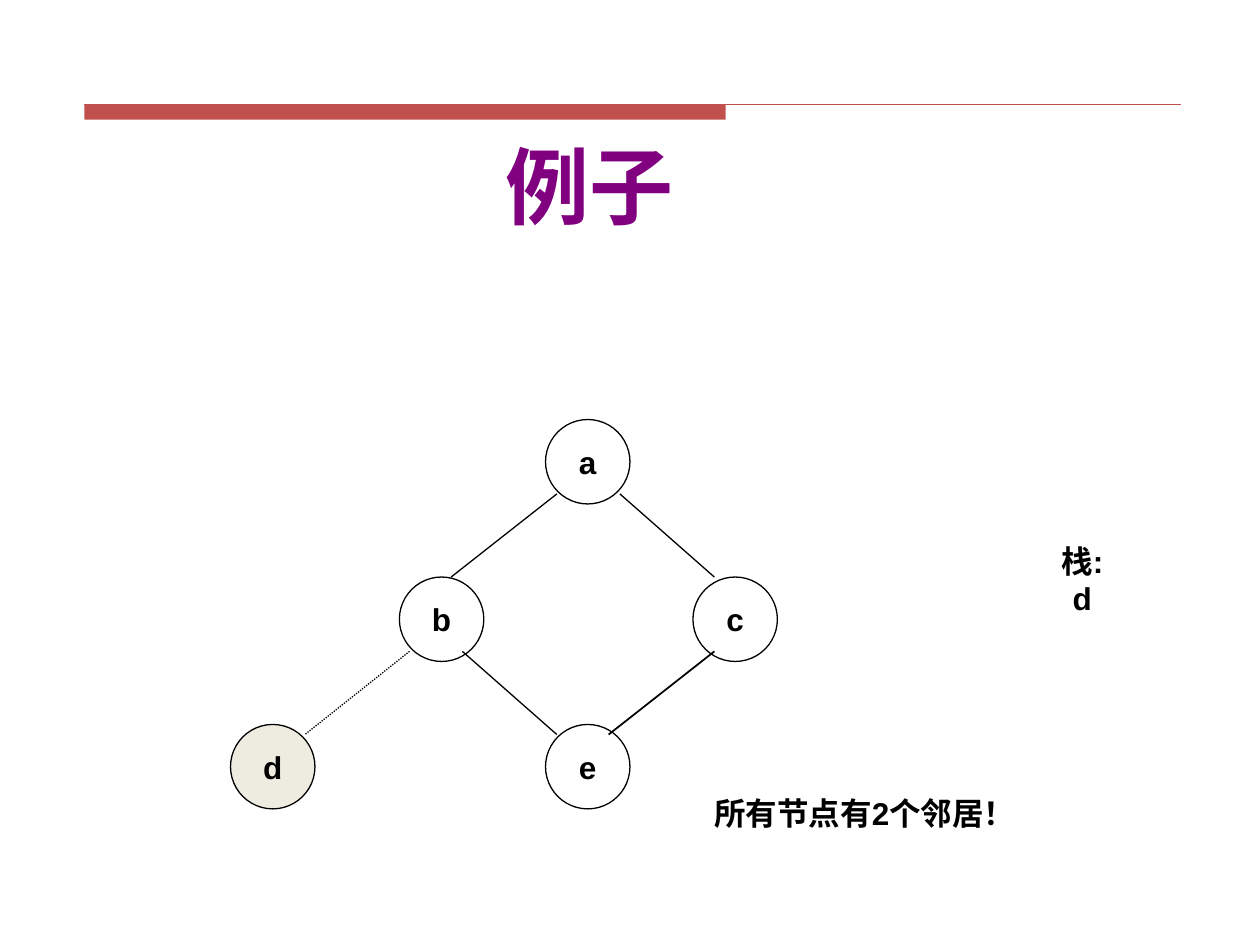
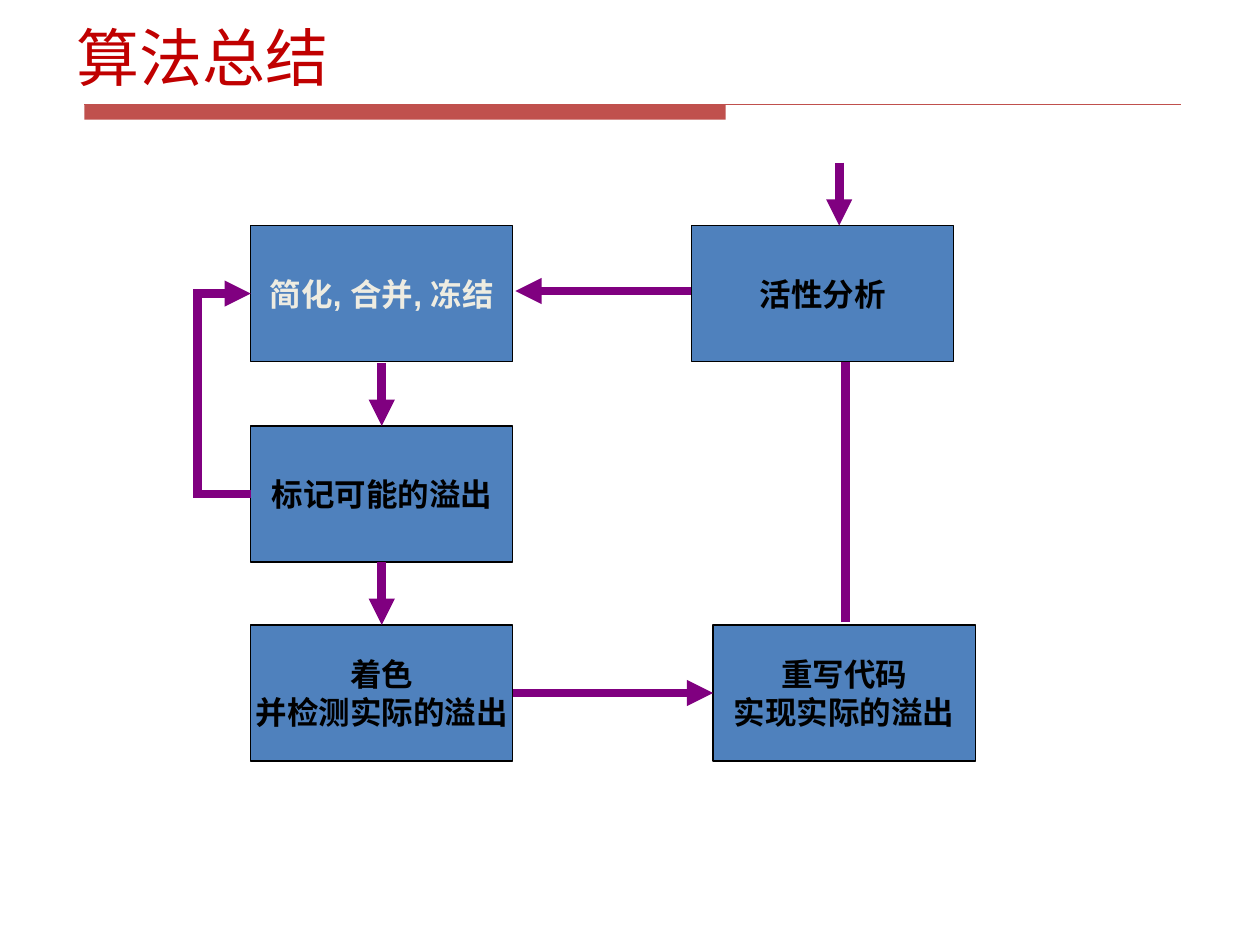
import pptx
import pptx.util
import pptx.dml.color
import pptx.enum.dml
import pptx.enum.shapes
import pptx.enum.text
import pptx.oxml
import pptx.oxml.ns
from lxml import etree

HUES = {
    "band": "C0504D", "red": "C00000", "plum": "800080", "ink": "000000",
    "blue": "4F81BD", "cream": "EEECE1",
}
LATIN, HAN = "Arial", "Noto Sans CJK SC"
CELL = 1 / 6                     # inches; the slide is 60 x 45 cells
NODE = 4                         # node diameter in cells
BOX_W, BOX_H, STEP = 12.5, 6.5, 9.5
ALIGN = pptx.enum.text.PP_ALIGN
ANCHOR = pptx.enum.text.MSO_ANCHOR
KIND = pptx.enum.shapes.MSO_SHAPE
QN = pptx.oxml.ns.qn


def grid(*cells):
    """Turn cell counts into lengths."""
    return [pptx.util.Inches(round(c * CELL, 2)) for c in cells]


def tint(name):
    return pptx.dml.color.RGBColor.from_string(HUES[name])


def write(shape, text, size=18, hue="ink", bold=True, font=LATIN,
          align=ALIGN.CENTER, anchor=ANCHOR.MIDDLE, wrap=False):
    """Fill a shape with text, one paragraph a line."""
    frame = shape.text_frame
    frame.auto_size = pptx.enum.text.MSO_AUTO_SIZE.NONE
    frame.word_wrap = wrap
    frame.vertical_anchor = anchor
    frame.text = text
    for para in frame.paragraphs:
        para.alignment = align
        for run in para.runs:
            run.font.size = pptx.util.Pt(size)
            run.font.bold = bold
            run.font.name = font
            run.font.color.rgb = tint(hue)
            latin = run.font._element.find(QN("a:latin"))
            latin.addnext(latin.makeelement(QN("a:ea"), {"typeface": HAN}))


def stroke(shape, hue="ink", width=0.75, dash=None, arrow=False):
    """Format an outline or line, with an arrowhead at its end if asked."""
    shape.line.color.rgb = tint(hue)
    shape.line.width = pptx.util.Pt(width)
    if dash:
        shape.line.dash_style = dash
    if arrow:
        rule = shape.element.spPr.find(QN("a:ln"))
        etree.SubElement(rule, QN("a:miter"), lim="800000")
        etree.SubElement(rule, QN("a:tailEnd"), type="triangle")


def block(slide, kind, area, fill=None):
    shape = slide.shapes.add_shape(kind, *grid(*area))
    shape.shadow.inherit = False
    if fill:
        shape.fill.solid()
        shape.fill.fore_color.rgb = tint(fill)
    else:
        shape.fill.background()
    return shape


def link(slide, start, end, **style):
    """Straight line between two grid points."""
    line = slide.shapes.add_connector(
        pptx.enum.shapes.MSO_CONNECTOR.STRAIGHT, *grid(*start, *end))
    stroke(line, **style)
    etree.SubElement(line.element.spPr, QN("a:effectLst"))
    return line


def bend(slide, points, **style):
    """Open line with corners, through grid points."""
    spots = [grid(*point) for point in points]
    pen = slide.shapes.build_freeform(*spots[0], scale=1.0)
    pen.add_line_segments(spots[1:], close=False)
    shape = pen.convert_to_shape()
    shape.shadow.inherit = False
    shape.fill.background()
    stroke(shape, **style)


def label(slide, text, area):
    write(slide.shapes.add_textbox(*grid(*area)), text, anchor=ANCHOR.TOP)


def head(slide, text, area, **style):
    title = slide.shapes.title
    title.left, title.top, title.width, title.height = grid(*area)
    write(title, text, wrap=True, **style)


def band(slide, layout):
    """Draw the header band and hand it to the shared layout."""
    bar = block(slide, KIND.RECTANGLE, (4, 5, 30.55, 0.75), "band")
    bar.line.fill.background()
    rule = link(slide, (4, 5), (56.2, 5), hue="band")
    for part in (bar, rule):
        layout.shapes.element.append(part.element)


def graph(slide):
    """Nodes and edges of the interference graph."""
    nodes = {"a": (26, 20), "b": (19, 27.5), "c": (33, 27.5),
             "d": (11, 34.5), "e": (26, 34.5)}
    for name, spot in nodes.items():
        node = block(slide, KIND.OVAL, (*spot, NODE, NODE),
                     "cream" if name == "d" else None)
        stroke(node)
        write(node, name)
    dots = pptx.enum.dml.MSO_LINE.ROUND_DOT
    link(slide, (19.5, 31), (14.5, 35), dash=dots)
    link(slide, (22, 31), (26.5, 35))
    link(slide, (26.5, 23.5), (21.5, 27.5))
    link(slide, (29.5, 23.5), (34, 27.5))
    link(slide, (29, 35), (34, 31), width=1)
    label(slide, "栈:\nd", (49.9, 25.5, 3.25, 6))
    label(slide, "所有节点有2个邻居！", (33.35, 37.5, 15.65, 2.4))


def flow(slide):
    """Steps of the algorithm and the arrows between them."""
    left, top = 11.95, 10.75
    mid, right = left + BOX_W / 2, left + BOX_W
    live, code = left + 21, left + 22
    pen = {"hue": "plum", "width": 5, "arrow": True}

    # The long way back runs behind the boxes
    turn = (40.25, 13.85)
    bend(slide, [(turn[0], 29.65), turn, (24.55, turn[1])], **pen)

    steps = [
        (left, 0, "简化, 合并, 冻结", "cream"),
        (left, 1, "标记可能的溢出", "ink"),
        (left, 2, "着色\n并检测实际的溢出", "ink"),
        (code, 2, "重写代码\n实现实际的溢出", "ink"),
        (live, 0, "活性分析", "ink"),
    ]
    for x, row, text, hue in steps:
        box = block(slide, KIND.RECTANGLE,
                    (x, top + row * STEP, BOX_W, BOX_H), "blue")
        stroke(box)
        write(box, text, hue=hue)

    # Down the left column, then back, across and in
    for row in range(2):
        y = top + row * STEP
        link(slide, (mid, y + BOX_H), (mid, y + STEP), **pen)
    first, second, third = (top + BOX_H / 2 + n * STEP for n in range(3))
    bend(slide, [(left, second), (9.4, second), (9.4, first), (left, first)],
         **pen)
    link(slide, (right, third), (code, third), **pen)
    link(slide, (39.95, top - 3), (39.95, top), **pen)


def main():
    deck = pptx.Presentation()
    deck.slide_width, deck.slide_height = grid(60, 45)
    layout = deck.slide_layouts[5]
    sample, recap = (deck.slides.add_slide(layout) for _ in range(2))
    band(sample, layout)

    head(sample, "例子", (21.5, 5.05, 13.2, 7.5), size=48, hue="plum")
    graph(sample)

    head(recap, "算法总结", (3.05, 0, 53.95, 5.35), size=36, hue="red",
         bold=False, font=HAN, align=ALIGN.LEFT)
    flow(recap)
    deck.save("out.pptx")


main()
